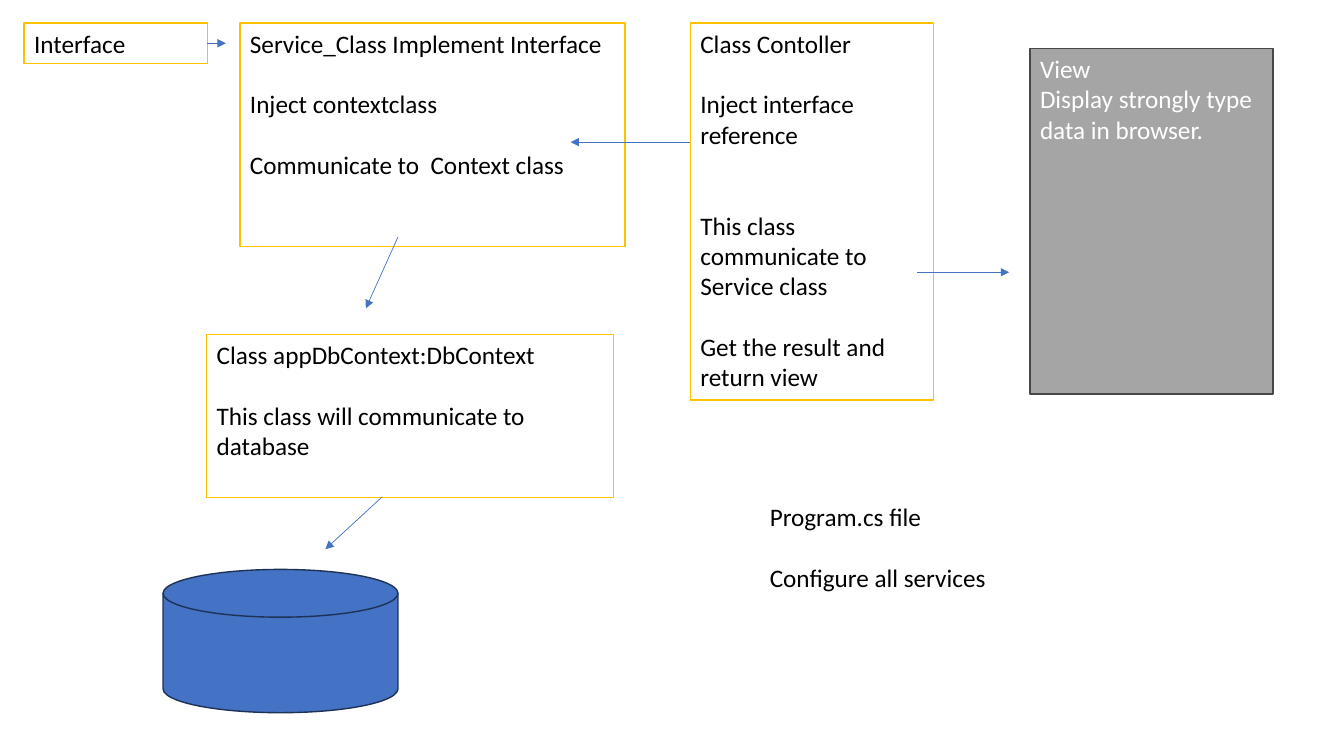
from dataclasses import dataclass

from lxml import etree
from pptx import Presentation
from pptx.dml.color import RGBColor
from pptx.enum.shapes import MSO_CONNECTOR, MSO_SHAPE
from pptx.enum.text import MSO_ANCHOR, PP_ALIGN
from pptx.oxml.ns import qn
from pptx.slide import Slide
from pptx.text.text import TextFrame
from pptx.util import Cm, Pt

RECTANGLE = MSO_SHAPE.RECTANGLE
DISK = MSO_SHAPE.FLOWCHART_MAGNETIC_DISK
STRAIGHT = MSO_CONNECTOR.STRAIGHT
TOP = MSO_ANCHOR.TOP
LEFT = PP_ALIGN.LEFT

BLACK = RGBColor(0x00, 0x00, 0x00)
WHITE = RGBColor(0xFF, 0xFF, 0xFF)
GOLD = RGBColor(0xFF, 0xC0, 0x00)
BLUE = RGBColor(0x44, 0x72, 0xC4)
NAVY = RGBColor(0x1E, 0x32, 0x56)
GRAY = RGBColor(0xA5, 0xA5, 0xA5)
CHARCOAL = RGBColor(0x48, 0x48, 0x48)

FONT = "Calibri"
LINE_HEIGHT = 21.8


@dataclass(frozen=True)
class Line:
    text: str
    lines_before: int = 0


@dataclass(frozen=True)
class Component:
    left: float
    top: float
    width: float
    height: float
    lines: tuple[Line, ...] = ()
    fill: RGBColor = WHITE
    border: RGBColor = GOLD
    text_color: RGBColor = BLACK
    preset: MSO_SHAPE = RECTANGLE


@dataclass(frozen=True)
class Arrow:
    x1: float
    y1: float
    x2: float
    y2: float


COMPONENTS = (
    Component(0.61, 0.58, 4.62, 1.02, (Line("Interface"),)),
    Component(6.05, 0.58, 9.7, 5.64, (
        Line("Service_Class Implement Interface"),
        Line("Inject contextclass", 1),
        Line("Communicate to  Context class", 1),
    )),
    Component(17.4, 0.58, 6.12, 9.5, (
        Line("Class Contoller"),
        Line("Inject interface reference", 1),
        Line("This class communicate to Service class", 2),
        Line("Get the result and return view", 1),
    )),
    Component(5.21, 8.43, 10.26, 4.11, (
        Line("Class appDbContext:DbContext"),
        Line("This class will communicate to database", 1),
    )),
    Component(4.11, 14.35, 5.92, 3.61, fill=BLUE, border=NAVY, preset=DISK),
    Component(25.96, 1.22, 6.12, 8.71, (
        Line("View"),
        Line("Display strongly type data in browser."),
    ), fill=GRAY, border=CHARCOAL, text_color=WHITE),
)

ARROWS = (
    Arrow(5.21, 1.09, 5.69, 1.09),
    Arrow(17.4, 3.58, 14.38, 3.58),
    Arrow(10.03, 5.97, 9.22, 7.77),
    Arrow(9.63, 12.52, 8.2, 13.84),
    Arrow(23.11, 6.86, 25.43, 6.86),
)

PROGRAM_LINES = (Line("Program.cs file"), Line("Configure all services", 1))


def write_text(frame: TextFrame, lines: tuple[Line, ...], *,
               color: RGBColor = BLACK, size: float = 18) -> None:
    frame.word_wrap = True
    frame.vertical_anchor = TOP
    for index, line in enumerate(lines):
        paragraph = frame.paragraphs[0] if index == 0 else frame.add_paragraph()
        paragraph.alignment = LEFT
        if line.lines_before:
            paragraph.space_before = Pt(line.lines_before * LINE_HEIGHT)
        run = paragraph.add_run()
        run.text = line.text
        run.font.name = FONT
        run.font.size = Pt(size)
        run.font.color.rgb = color


def draw_component(slide: Slide, component: Component) -> None:
    box = slide.shapes.add_shape(
        component.preset, Cm(component.left), Cm(component.top),
        Cm(component.width), Cm(component.height))
    box.shadow.inherit = False
    box.fill.solid()
    box.fill.fore_color.rgb = component.fill
    box.line.color.rgb = component.border
    box.line.width = Pt(1)
    if component.lines:
        write_text(box.text_frame, component.lines, color=component.text_color)


def draw_arrow(slide: Slide, arrow: Arrow) -> None:
    connector = slide.shapes.add_connector(
        STRAIGHT, Cm(arrow.x1), Cm(arrow.y1), Cm(arrow.x2), Cm(arrow.y2))
    connector.line.color.rgb = BLUE
    connector.line.width = Pt(0.5)
    properties = connector.element.spPr
    etree.SubElement(properties.find(qn("a:ln")), qn("a:tailEnd"), type="triangle")
    etree.SubElement(properties, qn("a:effectLst"))


def main() -> None:
    presentation = Presentation()
    presentation.slide_width = Cm(33.87)
    presentation.slide_height = Cm(19.05)
    slide = presentation.slides.add_slide(presentation.slide_layouts[6])
    for component in COMPONENTS:
        draw_component(slide, component)
    for arrow in ARROWS:
        draw_arrow(slide, arrow)
    program = slide.shapes.add_textbox(Cm(19.15), Cm(12.52), Cm(12.93), Cm(2.57))
    write_text(program.text_frame, PROGRAM_LINES)
    presentation.save("out.pptx")


if __name__ == "__main__":
    main()
